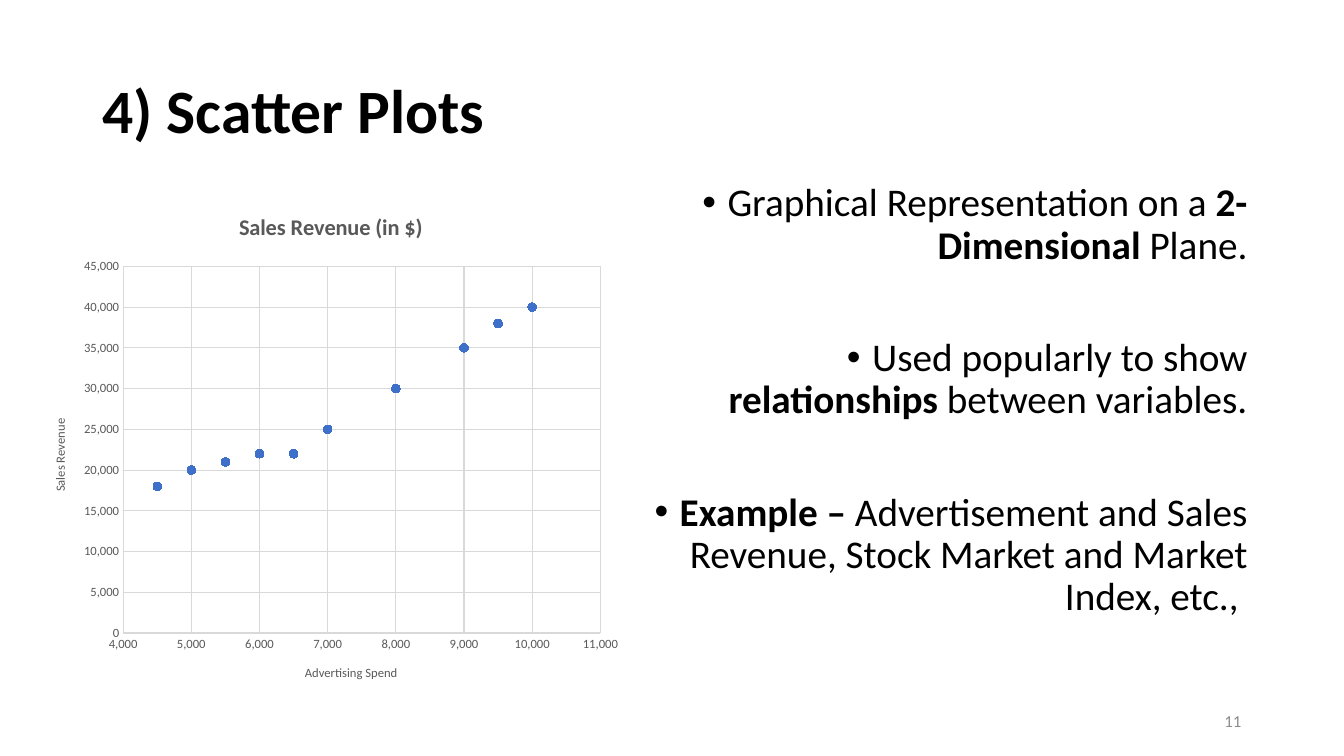
from lxml.etree import SubElement
from pptx import Presentation
from pptx.chart.data import XyChartData
from pptx.dml.color import RGBColor
from pptx.enum.chart import XL_CHART_TYPE, XL_MARKER_STYLE, XL_TICK_MARK
from pptx.enum.text import MSO_ANCHOR, PP_ALIGN
from pptx.oxml.ns import qn
from pptx.util import Inches, Pt

BLACK = RGBColor(0x00, 0x00, 0x00)
DARK_GRAY = RGBColor(0x59, 0x59, 0x59)
MID_GRAY = RGBColor(0x8C, 0x8C, 0x8C)
LIGHT_GRAY = RGBColor(0xD9, 0xD9, 0xD9)
BLUE = RGBColor(0x3E, 0x70, 0xCA)
FONT = "Calibri"
WIDTH, HEIGHT = Inches(13.33), Inches(7.5)

SALES = [
    (5000, 20000), (7000, 25000), (6500, 22000), (8000, 30000),
    (4500, 18000), (9000, 35000), (5500, 21000), (6000, 22000),
    (8000, 30000), (10000, 40000), (9500, 38000),
]
BULLETS = [
    [("Graphical Representation on a ", False), ("2-Dimensional", True),
     (" Plane.", False)],
    [("Used popularly to show ", False), ("relationships ", True),
     ("between variables.", False)],
    [("Example –", True),
     (" Advertisement and Sales Revenue, Stock Market and Market Index, etc., ", False)],
]


def percent(left, top, width, height):
    return (int(WIDTH * left / 100), int(HEIGHT * top / 100),
            int(WIDTH * width / 100), int(HEIGHT * height / 100))


def style_font(font, size, color, bold=False):
    font.name = FONT
    font.size = Pt(size)
    font.bold = bold
    font.color.rgb = color


def add_title(page, place, text):
    title = page.shapes.title
    title.left, title.top, title.width, title.height = place
    frame = title.text_frame
    frame.text = text
    frame.vertical_anchor = MSO_ANCHOR.MIDDLE
    para = frame.paragraphs[0]
    para.alignment = PP_ALIGN.LEFT
    para.line_spacing = 0.9
    style_font(para.font, 44, BLACK, True)


def add_text_box(page, place):
    frame = page.shapes.add_textbox(*place).text_frame
    frame.word_wrap = True
    return frame


def add_bullets(page, place, bullets):
    frame = add_text_box(page, place)
    for index, spans in enumerate(bullets):
        para = frame.add_paragraph() if index else frame.paragraphs[0]
        para.alignment = PP_ALIGN.RIGHT
        para.line_spacing = 0.9
        para.space_before = Pt(50 if index else 0)
        style_font(para.font, 28, BLACK)
        properties = para._p.get_or_add_pPr()
        properties.set("marL", str(Inches(0.25)))
        properties.set("indent", str(-Inches(0.25)))
        bullet_font = SubElement(properties, qn("a:buFont"))
        bullet_font.set("typeface", "Arial")
        SubElement(properties, qn("a:buChar")).set("char", "•")
        properties.append(properties.find(qn("a:defRPr")))
        for text, bold in spans:
            span = para.add_run()
            span.text = text
            style_font(span.font, 28, BLACK, bold)


def add_page_number(page, place, number):
    frame = add_text_box(page, place)
    frame.vertical_anchor = MSO_ANCHOR.MIDDLE
    para = frame.paragraphs[0]
    para.text = number
    para.alignment = PP_ALIGN.RIGHT
    style_font(para.font, 12, MID_GRAY)


def set_layout(element, **percents):
    layout = element.find(qn("c:layout"))
    if layout is None:
        layout = SubElement(element, qn("c:layout"))
        element.insert(0, layout)
    manual = SubElement(layout, qn("c:manualLayout"))
    if "w" in percents:
        SubElement(manual, qn("c:layoutTarget")).set("val", "inner")
    for side in ("x", "y"):
        SubElement(manual, qn(f"c:{side}Mode")).set("val", "edge")
    for key, value in percents.items():
        SubElement(manual, qn(f"c:{key}")).set("val", str(value / 100))


def format_title(title, text, size, bold, x, y):
    frame = title.text_frame
    frame.text = text
    style_font(frame.paragraphs[0].font, size, DARK_GRAY, bold)
    set_layout(title._element, x=x, y=y)


def format_axis(axis, low, high, step):
    axis.minimum_scale, axis.maximum_scale, axis.major_unit = low, high, step
    axis.major_tick_mark = axis.minor_tick_mark = XL_TICK_MARK.NONE
    axis.has_major_gridlines = True
    grid = axis.major_gridlines.format.line
    grid.color.rgb = LIGHT_GRAY
    grid.width = Pt(0.75)
    style_font(axis.tick_labels.font, 9, DARK_GRAY)
    axis.tick_labels.number_format = "#,##0"
    axis.tick_labels.number_format_is_linked = False


def add_scatter(page, place, name, points):
    data = XyChartData()
    series_data = data.add_series(name)
    for spend, revenue in points:
        series_data.add_data_point(spend, revenue)
    chart = page.shapes.add_chart(XL_CHART_TYPE.XY_SCATTER, *place, data).chart
    chart.has_legend = False
    style_font(chart.font, 10, BLACK)
    chart.has_title = True
    format_title(chart.chart_title, name, 16, True, 33.9, 3)
    plot = chart.plots[0]
    plot.vary_by_categories = False
    set_layout(plot._element.getparent(), x=15.2, y=14.5, w=79.8, h=72.2)

    spend_axis, revenue_axis = chart.category_axis, chart.value_axis
    format_axis(spend_axis, 4000, 11000, 1000)
    format_axis(revenue_axis, 0, 45000, 5000)
    spend_axis.format.line.color.rgb = LIGHT_GRAY
    spend_axis.format.line.width = Pt(1)
    revenue_axis.format.line.fill.background()
    format_title(spend_axis.axis_title, "Advertising Spend", 9, False, 45.2, 92.4)
    format_title(revenue_axis.axis_title, "Sales Revenue", 9, False, 2.9, 44)
    body = revenue_axis.axis_title.text_frame._txBody.find(qn("a:bodyPr"))
    body.set("rot", "-5400000")
    body.set("vert", "horz")

    series = plot.series[0]
    series.smooth = False
    series.format.line.fill.background()
    series.marker.style = XL_MARKER_STYLE.CIRCLE
    series.marker.size = 6
    series.marker.format.fill.solid()
    series.marker.format.fill.fore_color.rgb = BLUE
    series.marker.format.line.color.rgb = BLUE


def main():
    deck = Presentation()
    deck.slide_width, deck.slide_height = WIDTH, HEIGHT
    page = deck.slides.add_slide(deck.slide_layouts[5])
    add_title(page, percent(6.88, 5.4, 86.27, 19.3), "4) Scatter Plots")
    add_page_number(page, percent(70.6, 92.7, 22.5, 5.3), "11")
    add_bullets(page, percent(47.75, 23.55, 45.8, 63.5), BULLETS)
    add_scatter(page, percent(2.4, 25.5, 44.5, 67.2), "Sales Revenue (in $)", SALES)
    deck.save("out.pptx")


if __name__ == "__main__":
    main()
